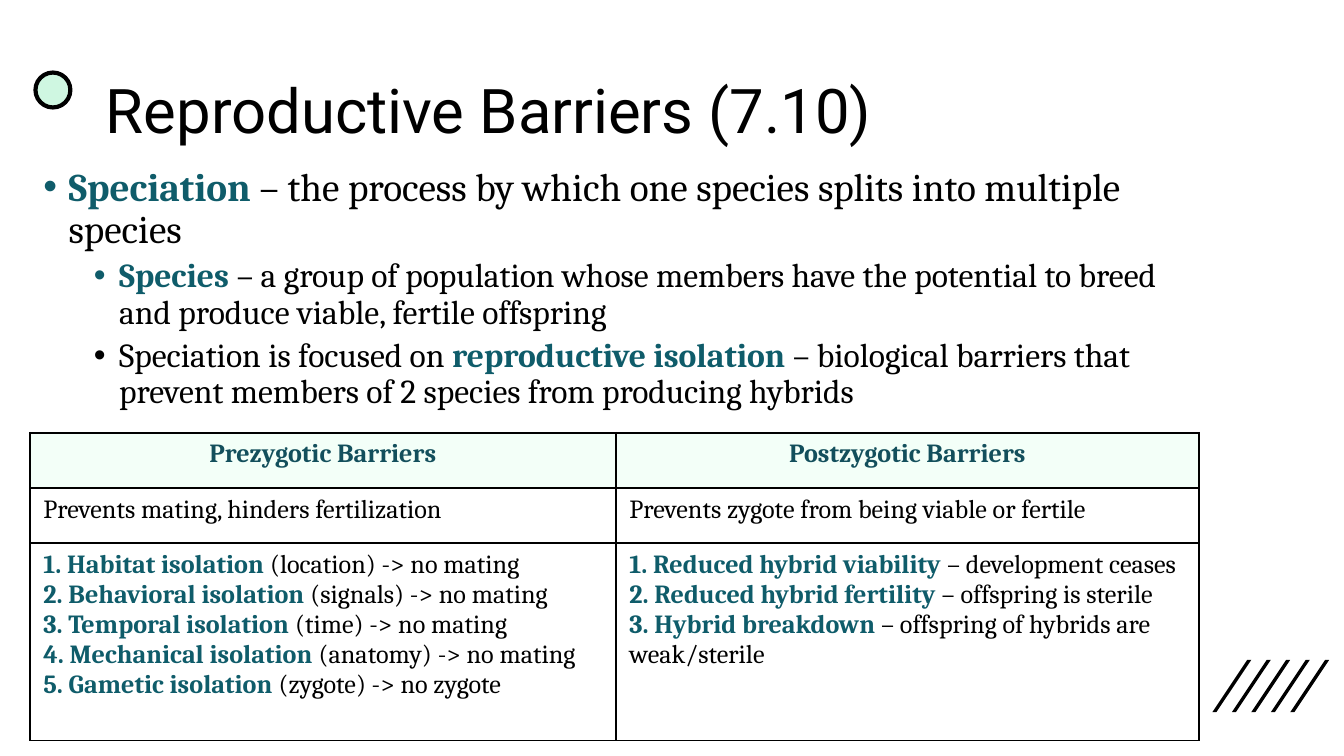
from dataclasses import dataclass

from lxml import etree
from pptx import Presentation
from pptx import util as u
from pptx.dml.color import RGBColor
from pptx.enum import shapes, text
from pptx.oxml import ns

# Widescreen, 16 to 9
WIDTH = u.Inches(10)
HEIGHT = u.Emu(WIDTH * 9 // 16)


@dataclass(frozen=True)
class Theme:
    black: str = "000000"
    teal: str = "0F5C6A"
    header_teal: str = "134F5C"
    mint: str = "CFF7E1"
    header_fill: str = "F3FFF8"
    title_font: str = "Roboto"
    body_font: str = "Cambria"
    bullet_font: str = "Arial"
    title_size: float = 33
    level_sizes: tuple = (21, 18)
    table_size: float = 14
    line_spacing: float = 0.9


THEME = Theme()

# Runs are (wording, is_key_term); bullets are (level, runs)
BULLETS = [
    (0, [("Speciation", True),
         (" – the process by which one species splits into multiple species", False)]),
    (1, [("Species", True),
         (" – a group of population whose members have the potential to breed "
          "and produce viable, fertile offspring", False)]),
    (1, [("Speciation is focused on ", False), ("reproductive isolation ", True),
         ("– biological barriers that prevent members of 2 species "
          "from producing hybrids", False)]),
]
HEADERS = ["Prezygotic Barriers", "Postzygotic Barriers"]
SUMMARIES = ["Prevents mating, hinders fertilization",
             "Prevents zygote from being viable or fertile"]
BARRIERS = [
    [("Habitat isolation", "(location) -> no mating"),
     ("Behavioral isolation", "(signals) -> no mating"),
     ("Temporal isolation", "(time) -> no mating"),
     ("Mechanical isolation", "(anatomy) -> no mating"),
     ("Gametic isolation", "(zygote) -> no zygote")],
    [("Reduced hybrid viability", "– development ceases"),
     ("Reduced hybrid fertility", "– offspring is sterile"),
     ("Hybrid breakdown", "– offspring of hybrids are weak/sterile")],
]


def across(percent):
    return round(WIDTH * percent / 100)


def down(percent):
    return round(HEIGHT * percent / 100)


def add_run(paragraph, wording, size, color, bold=False, font=THEME.body_font):
    run = paragraph.add_run()
    run.text = wording
    run.font.name = font
    run.font.size = u.Pt(size)
    run.font.bold = bold
    run.font.color.rgb = RGBColor.from_string(color)


def add_term_runs(paragraph, runs, size):
    for wording, is_term in runs:
        add_run(paragraph, wording, size, THEME.teal if is_term else THEME.black, is_term)


def paragraphs_for(frame, items):
    """Pair each item with a paragraph, starting with the existing one."""
    for index, item in enumerate(items):
        yield frame.add_paragraph() if index else frame.paragraphs[0], item


def add_text_box(slide, left, top, width, height, anchor):
    frame = slide.shapes.add_textbox(across(left), down(top), across(width),
                                     down(height)).text_frame
    frame.word_wrap = True
    frame.vertical_anchor = anchor
    return frame


def set_bullet(paragraph, level):
    properties = paragraph._p.get_or_add_pPr()
    hanging = across(1.88)
    properties.set("marL", str(hanging * (1 + 2 * level)))
    properties.set("indent", str(-hanging))
    etree.SubElement(properties, ns.qn("a:buFont")).set("typeface", THEME.bullet_font)
    etree.SubElement(properties, ns.qn("a:buChar")).set("char", "•")


def add_title(slide):
    frame = add_text_box(slide, 6.9, 5.33, 86.2, 19.38, text.MSO_ANCHOR.MIDDLE)
    paragraph = frame.paragraphs[0]
    paragraph.line_spacing = THEME.line_spacing
    add_run(paragraph, "Reproductive Barriers (7.10)", THEME.title_size, THEME.black,
            font=THEME.title_font)


def add_bullets(slide):
    frame = add_text_box(slide, 2.24, 21.24, 86.2, 63.47, text.MSO_ANCHOR.TOP)
    for paragraph, (level, runs) in paragraphs_for(frame, BULLETS):
        set_bullet(paragraph, level)
        paragraph.level = level
        paragraph.line_spacing = THEME.line_spacing
        paragraph.space_before = u.Pt(3.8 if level else 0)
        add_term_runs(paragraph, runs, THEME.level_sizes[level])


def set_borders(cell):
    properties = cell._tc.get_or_add_tcPr()
    for position, side in enumerate(("lnL", "lnR", "lnT", "lnB")):
        line = etree.Element(ns.qn(f"a:{side}"), w=str(u.Pt(1)))
        fill = etree.SubElement(line, ns.qn("a:solidFill"))
        etree.SubElement(fill, ns.qn("a:srgbClr")).set("val", THEME.black)
        properties.insert(position, line)


def add_barrier_table(slide):
    columns, rows = (43.6, 43.4), (7.29, 7.29, 26.13)
    table = slide.shapes.add_table(len(rows), len(columns), across(2.23), down(57.24),
                                   across(sum(columns)), down(sum(rows))).table
    table.first_row = table.horz_banding = False
    for row, share in zip(table.rows, rows):
        row.height = down(share)
    for column, share in zip(table.columns, columns):
        column.width = across(share)

    for index, barriers in enumerate(BARRIERS):
        header, summary, details = (table.cell(row, index) for row in range(len(rows)))
        for cell in (header, summary, details):
            cell.fill.background()
            set_borders(cell)
        header.fill.solid()
        header.fill.fore_color.rgb = RGBColor.from_string(THEME.header_fill)

        paragraph = header.text_frame.paragraphs[0]
        paragraph.alignment = text.PP_ALIGN.CENTER
        add_run(paragraph, HEADERS[index], THEME.table_size, THEME.header_teal, True)
        add_run(summary.text_frame.paragraphs[0], SUMMARIES[index], THEME.table_size,
                THEME.black)
        numbered = enumerate(barriers, start=1)
        for paragraph, (number, (term, effect)) in paragraphs_for(details.text_frame,
                                                                  numbered):
            add_term_runs(paragraph, [(f"{number}. {term} ", True), (effect, False)],
                          THEME.table_size)


def add_circle(slide):
    size = across(2.6)
    circle = slide.shapes.add_shape(shapes.MSO_SHAPE.OVAL, across(2.64), down(9.6),
                                    size, size)
    circle.shadow.inherit = False
    circle.fill.solid()
    circle.fill.fore_color.rgb = RGBColor.from_string(THEME.mint)
    circle.line.color.rgb = RGBColor.from_string(THEME.black)
    circle.line.width = u.Pt(2.25)


def add_slashes(slide, count=5):
    top, bottom, thickness, lean = down(87.29), down(94.22), across(0.3), across(2.6)
    for index in range(count):
        left = across(90.2 + 1.45 * index)
        builder = slide.shapes.build_freeform(left + thickness, bottom)
        builder.add_line_segments([(left, bottom), (left + lean, top),
                                   (left + lean + thickness, top)], close=True)
        slash = builder.convert_to_shape()
        slash.shadow.inherit = False
        slash.fill.solid()
        slash.fill.fore_color.rgb = RGBColor.from_string(THEME.black)
        slash.line.fill.background()


def main():
    presentation = Presentation()
    presentation.slide_width, presentation.slide_height = WIDTH, HEIGHT
    slide = presentation.slides.add_slide(presentation.slide_layouts[6])

    # Decoration
    add_slashes(slide)
    add_circle(slide)

    # Content
    add_title(slide)
    add_bullets(slide)
    add_barrier_table(slide)

    presentation.save("out.pptx")


if __name__ == "__main__":
    main()
